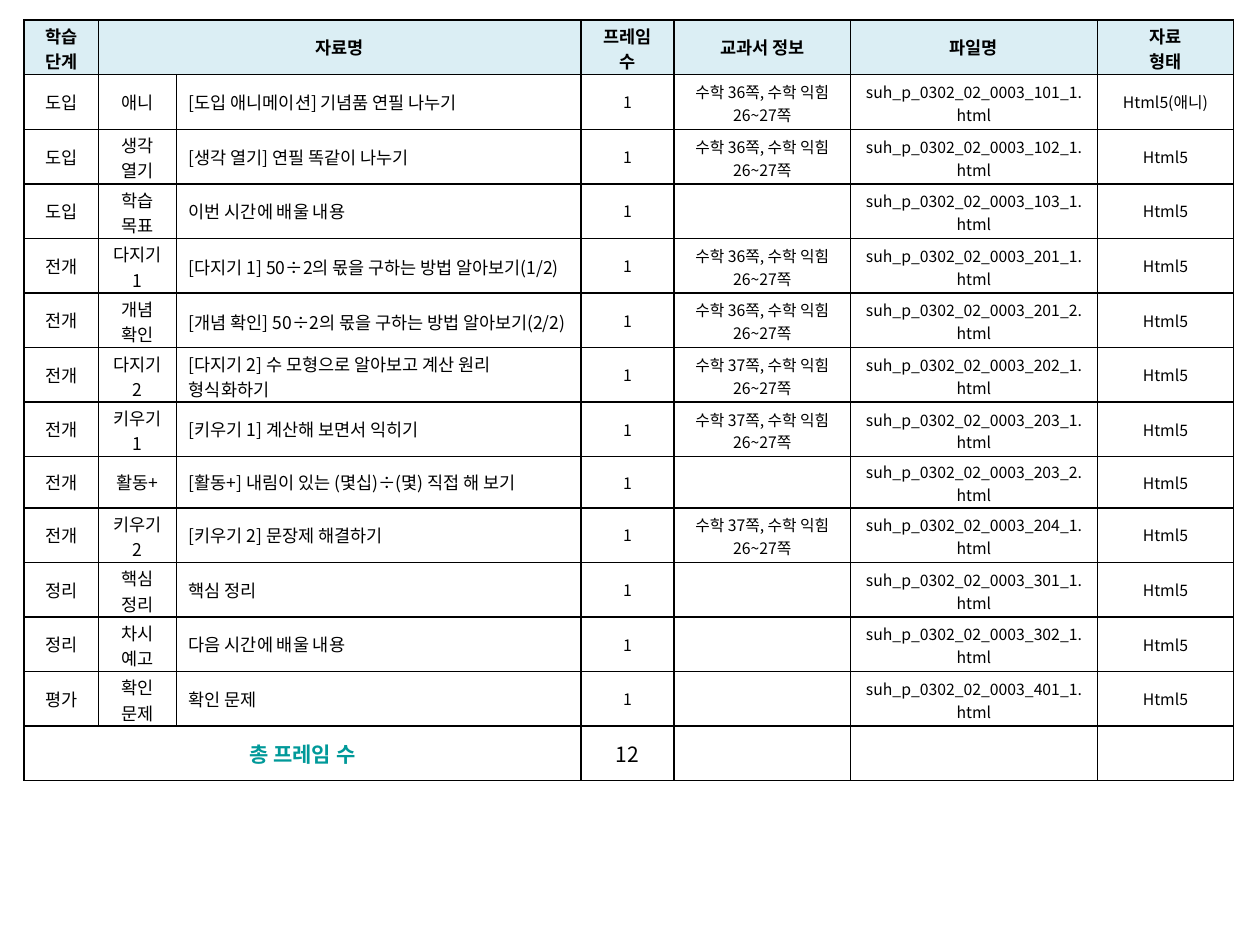
"""Build a slide with the frame list of a maths lesson as one bordered table."""
from lxml import etree
from pptx import Presentation
from pptx import util as u
from pptx.dml.color import RGBColor
from pptx.enum import text
from pptx.oxml.ns import qn

THEME = {
    "font": "Noto Sans CJK KR",
    "ink": "000000", "accent": "009999", "head": "DBEEF4", "paper": "FFFFFF",
    "small": 9, "body": 10, "total": 12,
}
COLS = [0.59, 0.62, 3.21, 0.74, 1.4, 1.96, 1.08]
HEADS = ["학습 단계", "자료명", "", "프레임 수", "교과서 정보", "파일명", "자료\n형태"]
FRAMES = [
    ("도입", "애니", "[도입 애니메이션] 기념품 연필 나누기", 36, "101_1"),
    ("도입", "생각 열기", "[생각 열기] 연필 똑같이 나누기", 36, "102_1"),
    ("도입", "학습 목표", "이번 시간에 배울 내용", None, "103_1"),
    ("전개", "다지기 1", "[다지기 1] 50÷2의 몫을 구하는 방법 알아보기(1/2)", 36, "201_1"),
    ("전개", "개념\n확인", "[개념 확인] 50÷2의 몫을 구하는 방법 알아보기(2/2)", 36, "201_2"),
    ("전개", "다지기 2", "[다지기 2] 수 모형으로 알아보고 계산 원리 형식화하기", 37, "202_1"),
    ("전개", "키우기1", "[키우기 1] 계산해 보면서 익히기", 37, "203_1"),
    ("전개", "활동+", "[활동+] 내림이 있는 (몇십)÷(몇) 직접 해 보기", None, "203_2"),
    ("전개", "키우기2", "[키우기 2] 문장제 해결하기", 37, "204_1"),
    ("정리", "핵심 정리", "핵심 정리", None, "301_1"),
    ("정리", "차시 예고", "다음 시간에 배울 내용", None, "302_1"),
    ("평가", "확인 문제", "확인 문제", None, "401_1"),
]
ACTIVITY_ROW, ACTIVITY_HEIGHT, TABLE_HEIGHT = 8, 0.4, 6.03
KIND_FIT, TITLE_FIT = 3, 30


def write(cell, words, size=THEME["body"], color=THEME["ink"], bold=False, align="CENTER", wraps=False):
    cell.vertical_anchor = text.MSO_ANCHOR.MIDDLE
    if wraps:
        cell.margin_top, cell.margin_bottom = u.Inches(0.02), u.Inches(0)
    tf = cell.text_frame
    for i, line in enumerate(words.split("\n")):
        p = tf.add_paragraph() if i else tf.paragraphs[0]
        p.alignment = text.PP_ALIGN[align]
        r = p.add_run()
        r.text = line
        r.font.size = u.Pt(size)
        r.font.bold = bold
        r.font.name = THEME["font"]
        r.font.color.rgb = RGBColor.from_string(color)
        etree.SubElement(r.font._element, qn("a:ea"), typeface=THEME["font"])


def frame(cell, fill):
    tc_pr = cell._tc.get_or_add_tcPr()
    for side in ("lnL", "lnR", "lnT", "lnB"):
        ln = etree.SubElement(tc_pr, qn(f"a:{side}"), w=str(u.Pt(1)))
        solid = etree.SubElement(ln, qn("a:solidFill"))
        etree.SubElement(solid, qn("a:srgbClr"), val=THEME["ink"])
    cell.fill.solid()
    cell.fill.fore_color.rgb = RGBColor.from_string(fill)


prs = Presentation()
prs.slide_width, prs.slide_height = u.Inches(10), u.Inches(7.5)
s = prs.slides.add_slide(prs.slide_layouts[6])

n_rows = len(FRAMES) + 2
total_row = n_rows - 1
table = s.shapes.add_table(n_rows, len(COLS), u.Inches(0.19), u.Inches(0.16),
                           u.Inches(sum(COLS)), u.Inches(TABLE_HEIGHT)).table
for col, width in zip(table.columns, COLS):
    col.width = u.Inches(width)
row_height = (TABLE_HEIGHT - ACTIVITY_HEIGHT) / (n_rows - 1)
for i, row in enumerate(table.rows):
    row.height = u.Inches(ACTIVITY_HEIGHT if i == ACTIVITY_ROW else row_height)
    for cell in row.cells:
        frame(cell, THEME["paper"] if i else THEME["head"])

table.cell(0, 1).merge(table.cell(0, 2))
table.cell(total_row, 0).merge(table.cell(total_row, 2))

for c, head in enumerate(HEADS):
    if head:
        write(table.cell(0, c), head, bold=True, wraps=c in (0, 3, 6))

for i, (stage, kind, title, page, code) in enumerate(FRAMES, 1):
    write(table.cell(i, 0), stage)
    write(table.cell(i, 1), kind, wraps=len(kind) > KIND_FIT)
    write(table.cell(i, 2), title, align="LEFT", wraps=len(title) > TITLE_FIT)
    write(table.cell(i, 3), "1", size=THEME["small"])
    if page:
        write(table.cell(i, 4), f"수학 {page}쪽, 수학 익힘 26~27쪽", size=THEME["small"], wraps=True)
    write(table.cell(i, 5), f"suh_p_0302_02_0003_{code}.html", size=THEME["small"], wraps=True)
    write(table.cell(i, 6), "Html5(애니)" if kind == "애니" else "Html5", size=THEME["small"])

write(table.cell(total_row, 0), "총 프레임 수", size=THEME["total"], color=THEME["accent"], bold=True)
write(table.cell(total_row, 3), "12", size=THEME["total"])

prs.save("out.pptx")
